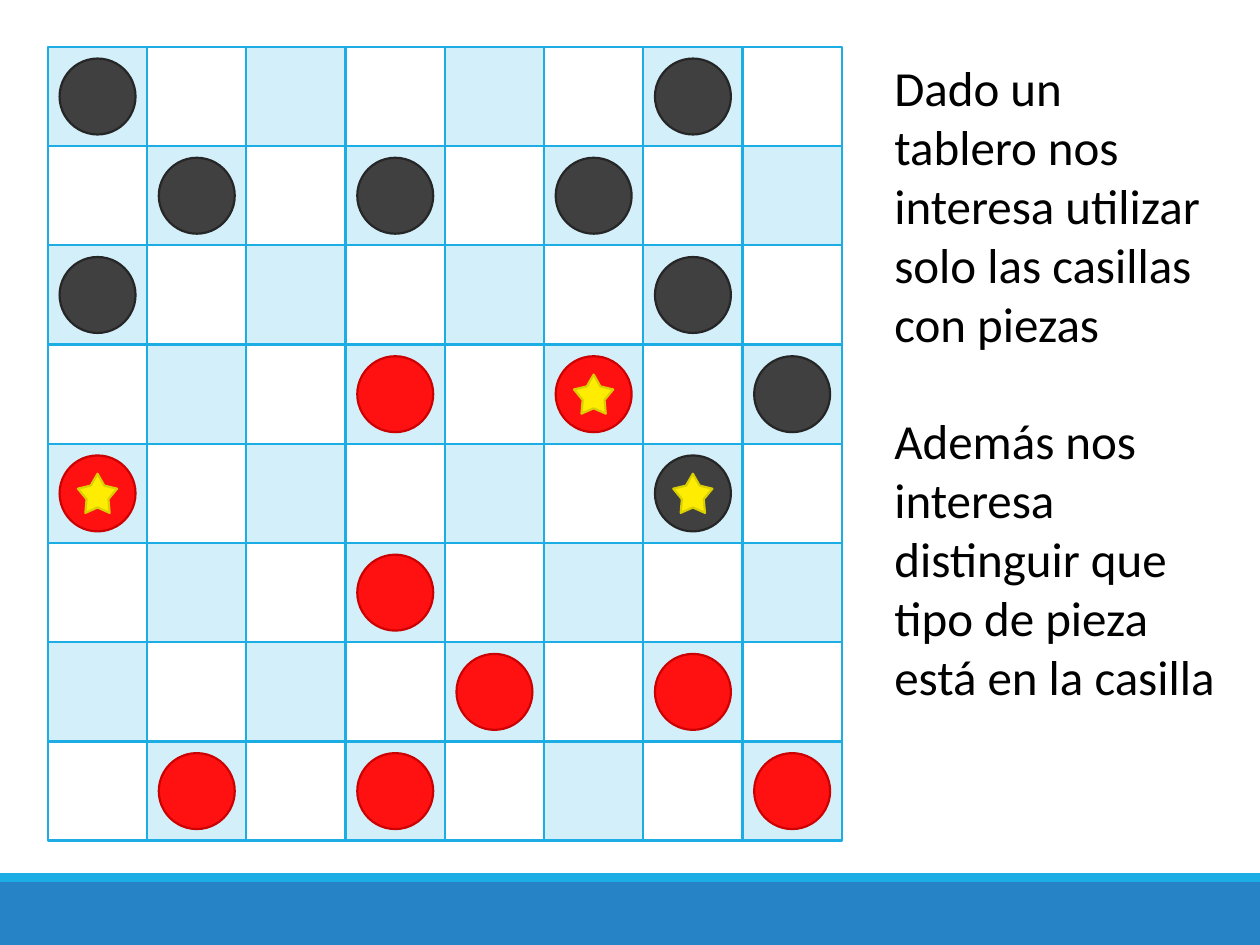
from dataclasses import dataclass

from pptx import Presentation
from pptx.dml.color import RGBColor
from pptx.enum.shapes import MSO_SHAPE as Preset
from pptx.enum.text import MSO_ANCHOR as Anchor, PP_ALIGN as Align
from pptx.util import Pt


@dataclass(frozen=True)
class Theme:
    font: str = "Calibri"
    body_size: float = 28
    line_width: float = 1.25
    text: str = "000000"
    footer: str = "2683C6"
    accent: str = "1CADE4"
    dark_square: str = "D2EFFA"
    light_square: str = "FFFFFF"
    red: tuple = ("FF1111", "CC0000")
    black: tuple = ("404040", "262626")
    crown: tuple = ("FEEC02", "DAD000")


BOARD = (
    "b.....b.",
    ".b.b.b..",
    "b.....b.",
    "...r.R.b",
    "R.....B.",
    "...r....",
    "....r.r.",
    ".r.r...r",
)
BOARD_LEFT, BOARD_TOP = 27.4, 26.8
SQUARE, PIECE, CROWN = 56.7, 43.4, 22.4
STAR_DEPTH = 0.279


def write_paragraph(paragraph, text, *, font, size, color, space_before=0):
    paragraph.alignment = Align.LEFT
    paragraph.space_before = Pt(space_before)
    run = paragraph.add_run()
    run.text = text
    run.font.name = font
    run.font.size = Pt(size)
    run.font.color.rgb = RGBColor.from_string(color)


class SlideBuilder:
    def __init__(self, slide, theme):
        self.slide = slide
        self.theme = theme

    def shape(self, preset, left, top, width, height, fill, line=None):
        shape = self.slide.shapes.add_shape(
            preset, Pt(left), Pt(top), Pt(width), Pt(height))
        shape.shadow.inherit = False
        shape.fill.solid()
        shape.fill.fore_color.rgb = RGBColor.from_string(fill)
        if line:
            shape.line.color.rgb = RGBColor.from_string(line)
            shape.line.width = Pt(self.theme.line_width)
        else:
            shape.line.fill.background()
        return shape

    def centered(self, preset, center_x, center_y, size, colors):
        return self.shape(preset, center_x - size / 2, center_y - size / 2,
                          size, size, *colors)

    def footer(self):
        self.shape(Preset.RECTANGLE, 0, 504, 720, 36, self.theme.footer)
        self.shape(Preset.RECTANGLE, 0, 499, 720, 5, self.theme.accent)

    def square(self, row, column):
        is_dark = (row + column) % 2 == 0
        fill = self.theme.dark_square if is_dark else self.theme.light_square
        self.shape(Preset.RECTANGLE, BOARD_LEFT + column * SQUARE,
                   BOARD_TOP + row * SQUARE, SQUARE, SQUARE,
                   fill, self.theme.accent)

    def piece(self, row, column, kind):
        center_x = BOARD_LEFT + (column + 0.5) * SQUARE
        center_y = BOARD_TOP + (row + 0.5) * SQUARE
        colors = self.theme.red if kind in "rR" else self.theme.black
        self.centered(Preset.OVAL, center_x, center_y, PIECE, colors)
        if kind.isupper():
            star = self.centered(Preset.STAR_5_POINT, center_x, center_y,
                                 CROWN, self.theme.crown)
            star.adjustments[0] = STAR_DEPTH

    def board(self, rows):
        cells = [(row, column, kind) for row, line in enumerate(rows)
                 for column, kind in enumerate(line)]
        for row, column, _ in cells:
            self.square(row, column)
        for row, column, kind in cells:
            if kind != ".":
                self.piece(row, column, kind)

    def text(self, left, top, width, height, paragraphs, gap):
        box = self.slide.shapes.add_textbox(
            Pt(left), Pt(top), Pt(width), Pt(height))
        frame = box.text_frame
        frame.word_wrap = True
        frame.vertical_anchor = Anchor.TOP
        for index, content in enumerate(paragraphs):
            paragraph = frame.add_paragraph() if index else frame.paragraphs[0]
            write_paragraph(paragraph, content, font=self.theme.font,
                            size=self.theme.body_size, color=self.theme.text,
                            space_before=gap if index else 0)


def main():
    presentation = Presentation()
    presentation.slide_width, presentation.slide_height = Pt(720), Pt(540)
    slide = presentation.slides.add_slide(presentation.slide_layouts[6])
    builder = SlideBuilder(slide, Theme())
    builder.footer()
    builder.board(BOARD)
    builder.text(504, 29.5, 197.3, 380, (
        "Dado un tablero nos interesa utilizar solo las casillas con piezas",
        "Además nos interesa distinguir que tipo de pieza está en la casilla",
    ), gap=33.6)
    presentation.save("out.pptx")


if __name__ == "__main__":
    main()
